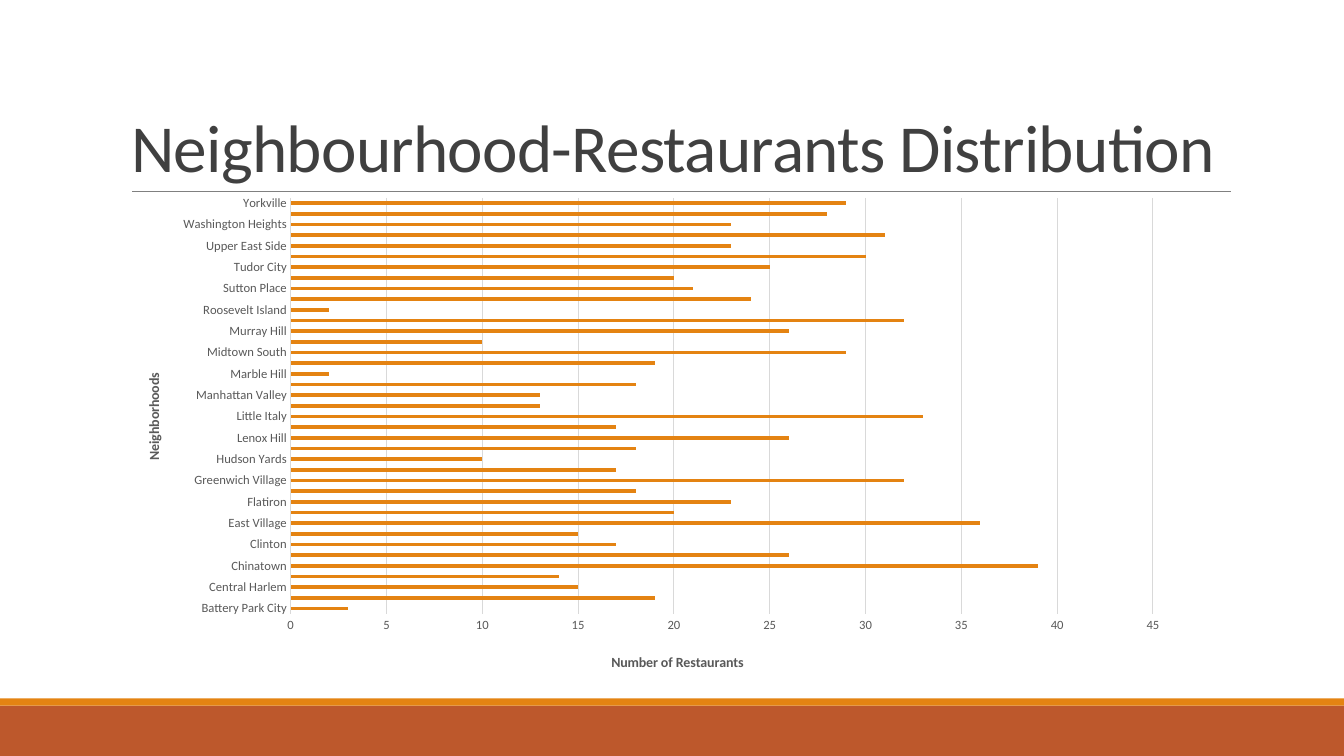
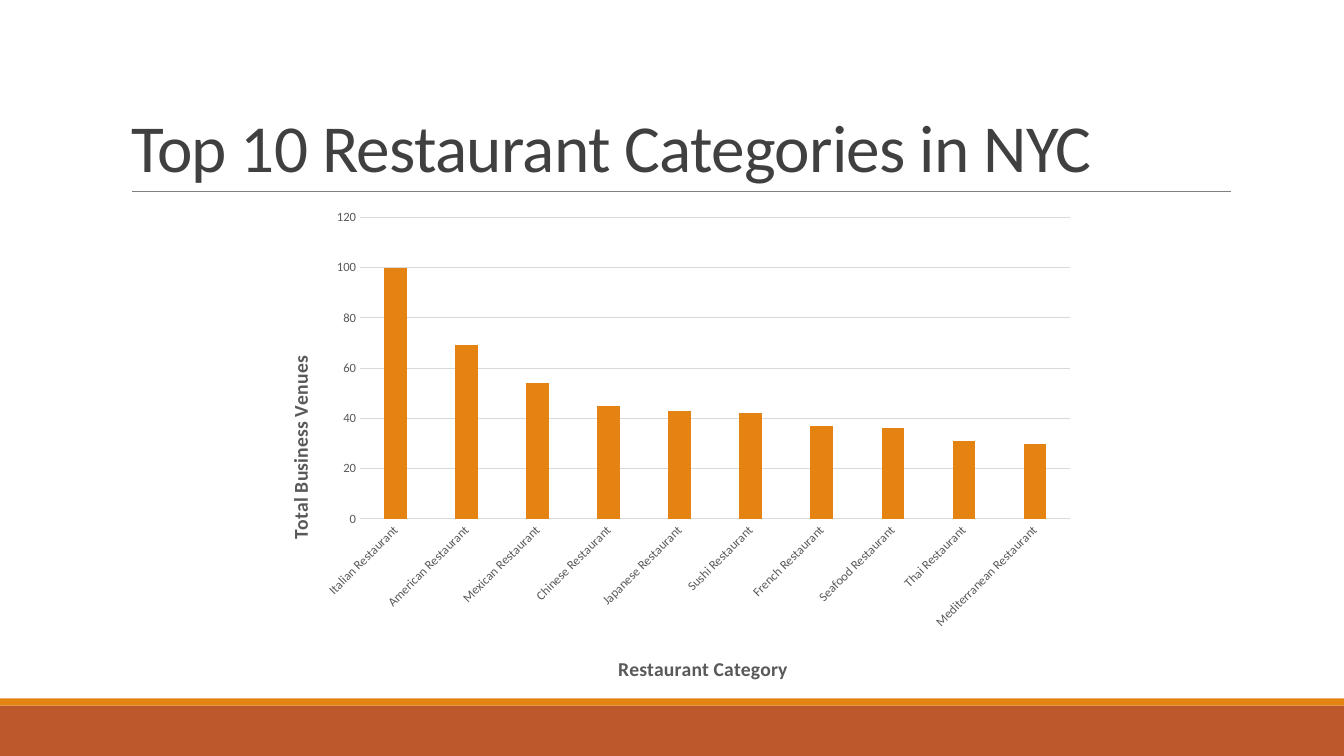
from lxml.etree import SubElement, Element
from pptx import Presentation
from pptx.chart.data import CategoryChartData
from pptx.dml.color import RGBColor
from pptx.enum.chart import XL_CHART_TYPE as ChartType, XL_TICK_MARK as TickMark
from pptx.enum.shapes import MSO_CONNECTOR as Connector, MSO_SHAPE as Shape
from pptx.enum.text import MSO_ANCHOR as Anchor, MSO_AUTO_SIZE as AutoSize, PP_ALIGN as Align
from pptx.oxml.ns import qn
from pptx.util import Inches, Pt

FONT = "Calibri"
RUST = RGBColor(0xBD, 0x58, 0x2C)
ORANGE = RGBColor(0xE4, 0x83, 0x12)
TITLE_GRAY = RGBColor(0x40, 0x40, 0x40)
LABEL_GRAY = RGBColor(0x59, 0x59, 0x59)
RULE_GRAY = RGBColor(0x80, 0x80, 0x80)
GRID_GRAY = RGBColor(0xD9, 0xD9, 0xD9)

WIDTH, HEIGHT = 13.33, 7.5
BAND_TOP, BAND_HEIGHT, STRIPE_HEIGHT = 7, 0.5, 0.07
TITLE_BOX = (1.2, 0.31, 11, 1.59)
RULE_LEFT, RULE_RIGHT, RULE_TOP = 1.31, 12.21, 1.9
UPRIGHT, SLANTED = -5400000, -2700000

NEIGHBORHOODS = {
    "Battery Park City": 3, "Carnegie Hill": 19, "Central Harlem": 15,
    "Chelsea": 14, "Chinatown": 39, "Civic Center": 26, "Clinton": 17,
    "East Harlem": 15, "East Village": 36, "Financial District": 20,
    "Flatiron": 23, "Gramercy": 18, "Greenwich Village": 32,
    "Hamilton Heights": 17, "Hudson Yards": 10, "Inwood": 18,
    "Lenox Hill": 26, "Lincoln Square": 17, "Little Italy": 33,
    "Lower East Side": 13, "Manhattan Valley": 13, "Manhattanville": 18,
    "Marble Hill": 2, "Midtown": 19, "Midtown South": 29,
    "Morningside Heights": 10, "Murray Hill": 26, "Noho": 32,
    "Roosevelt Island": 2, "Soho": 24, "Sutton Place": 21, "Tribeca": 20,
    "Tudor City": 25, "Turtle Bay": 30, "Upper East Side": 23,
    "Upper West Side": 31, "Washington Heights": 23, "West Village": 28,
    "Yorkville": 29,
}
CUISINES = {
    "Italian": 100, "American": 69, "Mexican": 54, "Chinese": 45,
    "Japanese": 43, "Sushi": 42, "French": 37, "Seafood": 36, "Thai": 31,
    "Mediterranean": 30,
}


def style_font(font, size, color, bold=False):
    """Set the shared typeface with a size, colour and weight."""
    font.name, font.size, font.bold = FONT, Pt(size), bold
    font.color.rgb = color


def write_text(para, text, *, size, color, bold=False, spacing=None):
    """Add one formatted run to a paragraph."""
    span = para.add_run()
    span.text = text
    style_font(span.font, size, color, bold)
    if spacing is not None:
        span.font._element.set("spc", str(round(spacing * 100)))


def add_band(page, top, height, color):
    """Draw a full-width band."""
    band = page.shapes.add_shape(
        Shape.RECTANGLE, 0, Inches(top), Inches(WIDTH), Inches(height))
    band.shadow.inherit = False
    band.fill.solid()
    band.fill.fore_color.rgb = color
    band.line.fill.background()


def add_rule(page):
    """Draw the thin line below the title."""
    rule = page.shapes.add_connector(
        Connector.STRAIGHT, Inches(RULE_LEFT), Inches(RULE_TOP),
        Inches(RULE_RIGHT), Inches(RULE_TOP))
    rule.line.color.rgb = RULE_GRAY
    rule.line.width = Pt(0.5)
    SubElement(rule._element.spPr, qn("a:effectLst"))


def add_title(page, text, box):
    """Place and format the title placeholder in a box."""
    title = page.shapes.title
    title.left, title.top, title.width, title.height = map(Inches, box)
    frame = title.text_frame
    frame.auto_size = AutoSize.NONE
    frame.word_wrap = True
    frame.vertical_anchor = Anchor.BOTTOM
    para = frame.paragraphs[0]
    para.alignment = Align.LEFT
    para.line_spacing = 0.85
    write_text(para, text, size=48, color=TITLE_GRAY, spacing=-0.5)


def add_page(deck, title):
    """Add a slide with the shared bands, rule and title."""
    page = deck.slides.add_slide(deck.slide_layouts[5])
    add_band(page, BAND_TOP, BAND_HEIGHT, RUST)
    add_band(page, BAND_TOP - STRIPE_HEIGHT, STRIPE_HEIGHT, ORANGE)
    add_rule(page)
    add_title(page, title, TITLE_BOX)
    return page


def set_layout(parent, index, **shares):
    """Fix a chart part at shares of the chart's size."""
    for automatic in parent.findall(qn("c:layout")):
        parent.remove(automatic)
    layout = Element(qn("c:layout"))
    manual = SubElement(layout, qn("c:manualLayout"))
    settings = {"xMode": "edge", "yMode": "edge", **shares}
    if "w" in shares:
        settings = {"layoutTarget": "inner", **settings}
    for name, value in settings.items():
        SubElement(manual, qn(f"c:{name}")).set("val", str(value))
    parent.insert(index, layout)


def style_axis(axis, title, size, place, rotation):
    """Format an axis and place its title."""
    axis.major_tick_mark = axis.minor_tick_mark = TickMark.NONE
    style_font(axis.tick_labels.font, 9, LABEL_GRAY)
    frame = axis.axis_title.text_frame
    frame._txBody.bodyPr.set("rot", str(rotation))
    write_text(frame.paragraphs[0], title, size=size, color=LABEL_GRAY, bold=True)
    set_layout(axis.axis_title._element, 1, x=place[0], y=place[1])


def add_bars(page, kind, box, values, *, titles, title_size, places, plot_box,
             maximum, step, gap, overlap=0, label_rotation=None):
    """Draw a one-series bar chart in a box."""
    data = CategoryChartData()
    data.categories = list(values)
    data.add_series("Series 1", list(values.values()))
    chart = page.shapes.add_chart(kind, *map(Inches, box), data).chart
    chart.has_legend = chart.has_title = False
    style_font(chart.font, 10, LABEL_GRAY)

    plot = chart.plots[0]
    plot.gap_width, plot.overlap, plot.vary_by_categories = gap, overlap, False
    fill = plot.series[0].format.fill
    fill.solid()
    fill.fore_color.rgb = ORANGE
    set_layout(plot._element.getparent(), 0, **dict(zip("xywh", plot_box)))

    rotations = (UPRIGHT, 0) if kind == ChartType.BAR_CLUSTERED else (0, UPRIGHT)
    names, scale = chart.category_axis, chart.value_axis
    for axis, title, place, rotation in zip((names, scale), titles, places, rotations):
        style_axis(axis, title, title_size, place, rotation)
    scale.minimum_scale, scale.maximum_scale, scale.major_unit = 0, maximum, step
    scale.format.line.fill.background()
    for line in (names.format.line, scale.major_gridlines.format.line):
        line.color.rgb = GRID_GRAY
        line.width = Pt(0.75)
    if label_rotation is not None:
        body = names._element.find(qn("c:txPr")).find(qn("a:bodyPr"))
        body.set("rot", str(label_rotation))


def add_neighborhood_page(deck):
    """Build the slide of restaurants by neighbourhood."""
    page = add_page(deck, "Neighbourhood-Restaurants Distribution")
    add_bars(page, ChartType.BAR_CLUSTERED, (1.2, 1.84, 10.52, 4.96), NEIGHBORHOODS,
             titles=("Neighborhoods", "Number of Restaurants"), title_size=10,
             places=((0.02, 0.37), (0.46, 0.93)), plot_box=(0.16, 0.025, 0.813, 0.832),
             maximum=45, step=5, gap=182)


def add_category_page(deck):
    """Build the slide of the leading restaurant categories."""
    page = add_page(deck, "Top 10 Restaurant Categories in NYC")
    values = {f"{cuisine} Restaurant": count for cuisine, count in CUISINES.items()}
    add_bars(page, ChartType.COLUMN_CLUSTERED, (2.56, 1.99, 8.22, 4.86), values,
             titles=("Restaurant Category", "Total Business Venues"), title_size=14,
             places=((0.43, 0.92), (0.03, 0.31)), plot_box=(0.123, 0.034, 0.857, 0.616),
             maximum=120, step=20, gap=219, overlap=-27, label_rotation=SLANTED)


def main():
    """Build and save the deck."""
    deck = Presentation()
    deck.slide_width, deck.slide_height = Inches(WIDTH), Inches(HEIGHT)
    add_neighborhood_page(deck)
    add_category_page(deck)
    deck.save("out.pptx")


if __name__ == "__main__":
    main()
